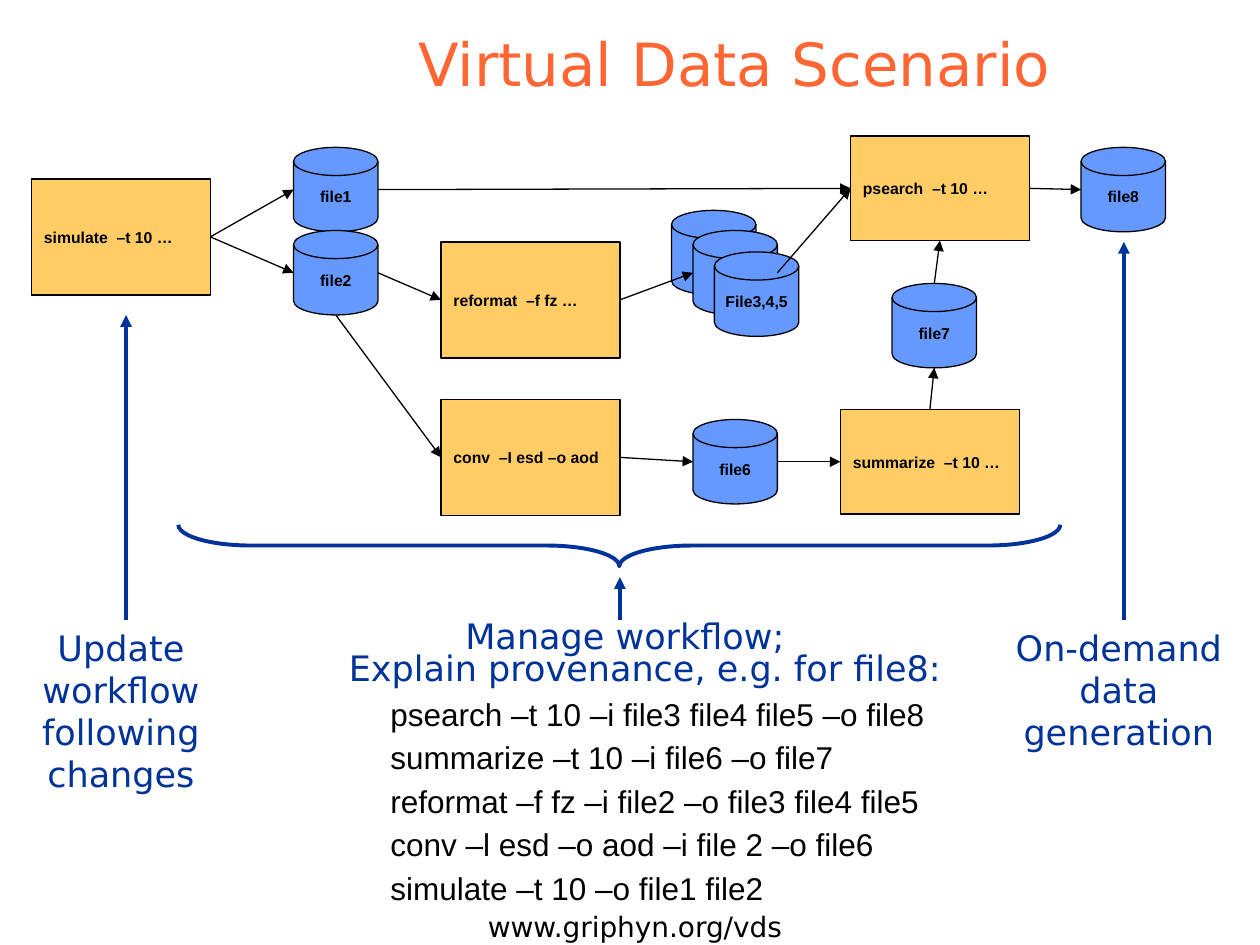
import pptx
import pptx.dml.color
import pptx.enum.shapes
import pptx.enum.text
import pptx.oxml.ns
import pptx.oxml.xmlchemy
import pptx.util

Inches = pptx.util.Inches
Pt = pptx.util.Pt
MSO_SHAPE = pptx.enum.shapes.MSO_SHAPE
PP_ALIGN = pptx.enum.text.PP_ALIGN
MSO_ANCHOR = pptx.enum.text.MSO_ANCHOR
OxmlElement = pptx.oxml.xmlchemy.OxmlElement

BLACK, NAVY, ORANGE = "000000", "003399", "FF6633"
STEP_FILL, FILE_FILL = "FFCC66", "6699FF"
SANS, ARIAL = "DejaVu Sans", "Arial"
STEP_WIDTH, FILE_SIZE = 1.42, 0.67

STEPS = {
    "simulate": ("simulate  –t 10 …", 0.25, 1.42, 0.92),
    "reformat": ("reformat  –f fz …", 3.5, 1.92, 0.92),
    "psearch": ("psearch  –t 10 …", 6.75, 1.08, 0.83),
    "conv": ("conv  –I esd –o aod", 3.5, 3.17, 0.92),
    "summarize": ("summarize  –t 10 …", 6.67, 3.25, 0.83),
}
FILES = {
    "file1": ("file1", 2.33, 1.17),
    "file2": ("file2", 2.33, 1.83),
    "file3": ("", 5.33, 1.67),
    "file4": ("", 5.5, 1.83),
    "file5": ("File3,4,5", 5.67, 2),
    "file6": ("file6", 5.5, 3.33),
    "file7": ("file7", 7.08, 2.25),
    "file8": ("file8", 8.58, 1.17),
}
FLOWS = [
    ("simulate", "right", "file1", "left"),
    ("simulate", "right", "file2", "left"),
    ("file2", "right", "reformat", "left"),
    ("reformat", "right", "file4", "left"),
    ("file4", "right", "psearch", "left"),
    ("file1", "right", "psearch", "left"),
    ("file2", "bottom", "conv", "left"),
    ("conv", "right", "file6", "left"),
    ("file6", "right", "summarize", "left"),
    ("summarize", "top", "file7", "bottom"),
    ("file7", "top", "psearch", "bottom"),
    ("psearch", "right", "file8", "left"),
]
SIDES = {"left": (0, 0.5), "right": (1, 0.5), "top": (0.5, 0), "bottom": (0.5, 1)}
POINTERS = [(8.92, 1.92), (1, 2.5), (4.92, 4.58)]
POINTER_BASE = 4.92
CAPTIONS = [
    ("On-demand data generation", (7.92, 4.92, 1.92, 1.1), 20, NAVY),
    ("Update workflow following changes", (0, 4.92, 1.92, 1.44), 20, NAVY),
    ("Manage workflow;", (3.5, 4.83, 2.92, 0.44), 20, NAVY),
    ("Explain provenance, e.g. for file8:", (2.33, 5.08, 5.58, 0.44), 20, NAVY),
    ("www.griphyn.org/vds", (2.25, 7.17, 5.58, 0.37), 16, BLACK),
]
COMMANDS = [
    "psearch –t 10 –i file3 file4 file5 –o file8",
    "summarize –t 10 –i file6 –o file7",
    "reformat –f fz –i file2 –o file3 file4 file5",
    "conv –l esd –o aod –i file 2 –o file6",
    "simulate –t 10 –o file1 file2",
]


def rgb(color):
    return pptx.dml.color.RGBColor.from_string(color)


def write(shape, text, size, font, color, align=PP_ALIGN.CENTER, bold=False):
    paragraph = shape.text_frame.paragraphs[0]
    paragraph.text = text
    paragraph.alignment = align
    for run in paragraph.runs:
        run.font.size = Pt(size)
        run.font.name = font
        run.font.bold = bold
        run.font.color.rgb = rgb(color)
    return paragraph


def add_text(slide, text, box, size, font, color, align=PP_ALIGN.CENTER):
    shape = slide.shapes.add_textbox(*map(Inches, box))
    shape.text_frame.word_wrap = True
    return write(shape, text, size, font, color, align)


def add_node(slide, kind, text, box, fill, align):
    shape = slide.shapes.add_shape(kind, *map(Inches, box))
    shape.shadow.inherit = False
    shape.fill.solid()
    shape.fill.fore_color.rgb = rgb(fill)
    shape.line.color.rgb = rgb(BLACK)
    shape.line.width = Pt(0.75)
    shape.text_frame.word_wrap = False
    shape.text_frame.vertical_anchor = MSO_ANCHOR.MIDDLE
    if text:
        write(shape, text, 9, ARIAL, BLACK, align, True)


def add_arrow(slide, start, end, color, width):
    connector = slide.shapes.add_connector(
        pptx.enum.shapes.MSO_CONNECTOR.STRAIGHT, *map(Inches, start + end))
    connector.line.color.rgb = rgb(color)
    connector.line.width = Pt(width)
    properties = connector._element.spPr
    tail = OxmlElement("a:tailEnd")
    tail.set("type", "triangle")
    properties.find(pptx.oxml.ns.qn("a:ln")).append(tail)
    properties.append(OxmlElement("a:effectLst"))


def side_point(box, side):
    left, top, width, height = box
    across, down = SIDES[side]
    return left + width * across, top + height * down


def add_workflow(slide):
    boxes = {}
    for name, (label, left, top, height) in STEPS.items():
        boxes[name] = (left, top, STEP_WIDTH, height)
        add_node(slide, MSO_SHAPE.FLOWCHART_PROCESS, label, boxes[name],
                 STEP_FILL, PP_ALIGN.LEFT)
    for name, (label, left, top) in FILES.items():
        boxes[name] = (left, top, FILE_SIZE, FILE_SIZE)
        add_node(slide, MSO_SHAPE.FLOWCHART_MAGNETIC_DISK, label, boxes[name],
                 FILE_FILL, PP_ALIGN.CENTER)
    for source, source_side, target, target_side in FLOWS:
        add_arrow(slide, side_point(boxes[source], source_side),
                  side_point(boxes[target], target_side), BLACK, 0.75)


def add_brace(slide):
    brace = slide.shapes.add_shape(
        MSO_SHAPE.RIGHT_BRACE, Inches(4.75), Inches(0.83), Inches(0.33), Inches(7))
    brace.rotation = 90
    brace.adjustments[0] = 1.75
    brace.shadow.inherit = False
    brace.fill.background()
    brace.line.color.rgb = rgb(NAVY)
    brace.line.width = Pt(2.25)


def main():
    presentation = pptx.Presentation()
    presentation.slide_width = Inches(10)
    presentation.slide_height = Inches(7.5)
    slide = presentation.slides.add_slide(presentation.slide_layouts[5])

    title = slide.shapes.title
    title.left, title.top, title.width, title.height = map(Inches, (1.58, 0, 8.5, 0.83))
    title.text_frame.vertical_anchor = MSO_ANCHOR.BOTTOM
    write(title, "Virtual Data Scenario", 34, SANS, ORANGE)

    add_workflow(slide)
    add_brace(slide)
    for left, top in POINTERS:
        add_arrow(slide, (left, POINTER_BASE), (left, top), NAVY, 2.25)
    for text, box, size, color in CAPTIONS:
        add_text(slide, text, box, size, SANS, color)

    commands = add_text(slide, "\v".join(COMMANDS), (2.5, 5.42, 6.67, 1.75),
                        18, ARIAL, BLACK, PP_ALIGN.LEFT)
    commands.line_spacing = 1.15
    commands._p.get_or_add_pPr().set("marL", str(Inches(0.5)))

    presentation.save("out.pptx")


if __name__ == "__main__":
    main()
